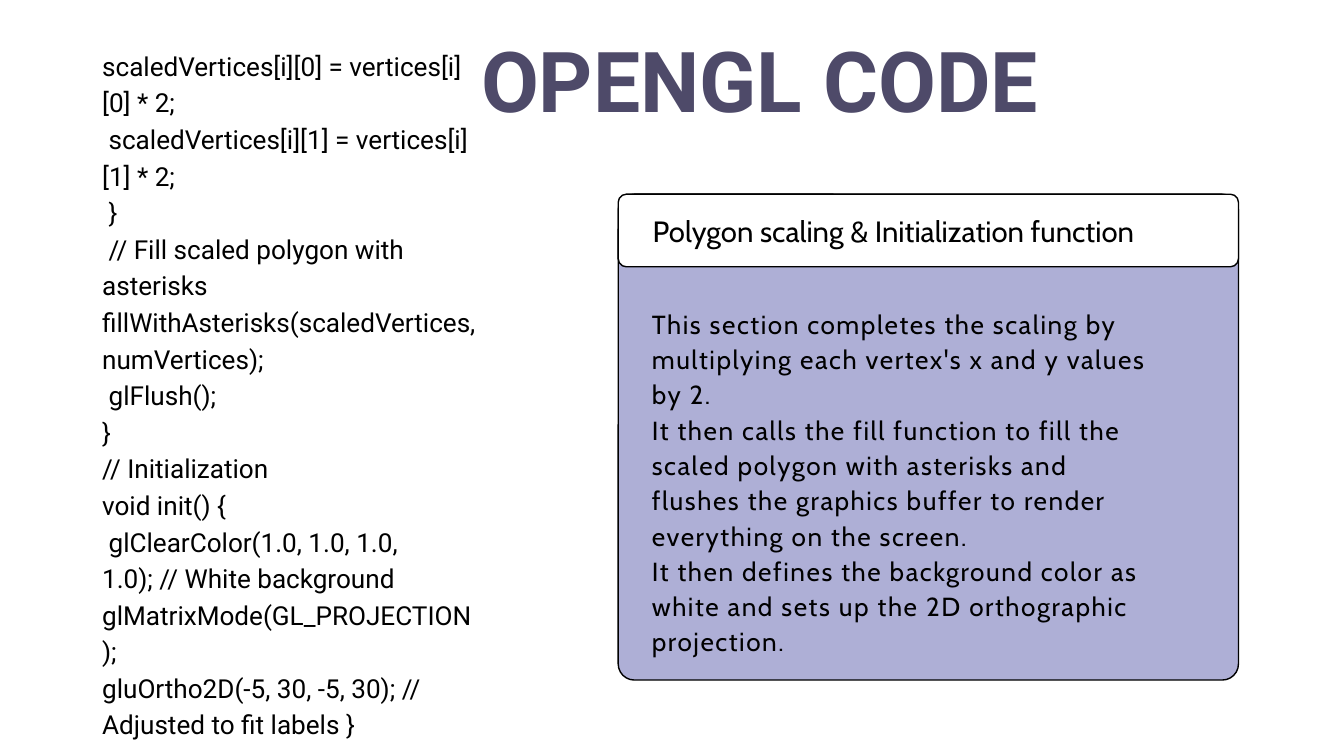
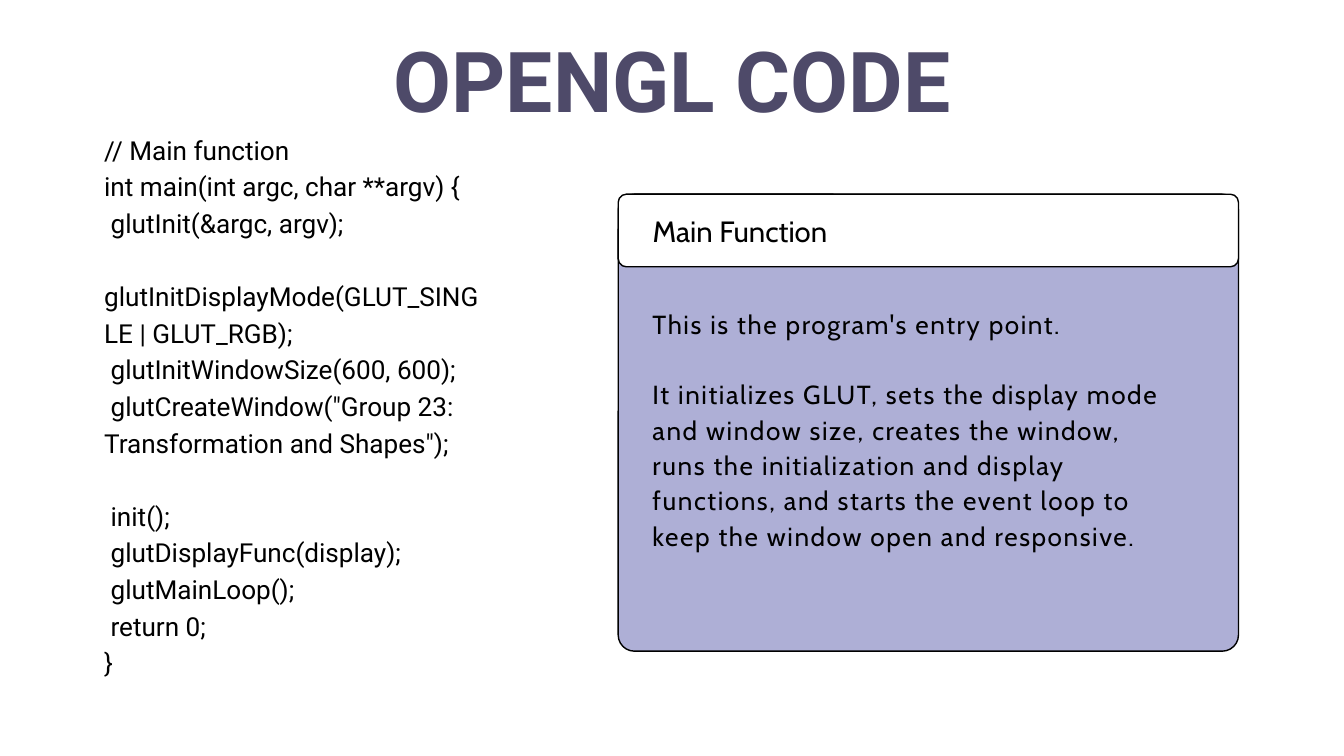
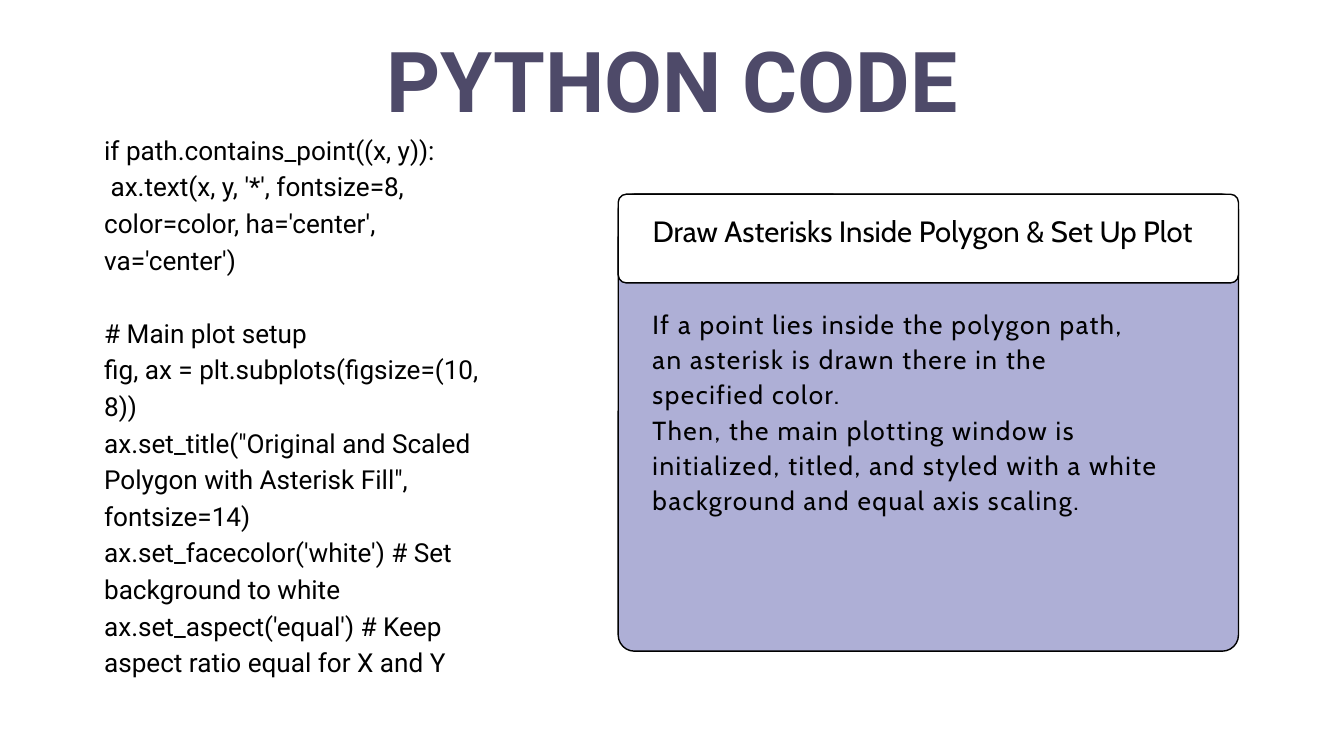
from dataclasses import dataclass

from pptx import Presentation
from pptx import util as u
from pptx.dml import color
from pptx.enum import shapes, text

HUES = {"ink": "000000", "title": "4E4A69", "card": "AEAFD6", "head": "FFFFFF"}


@dataclass(frozen=True)
class Style:
    font: str
    size: float
    lead: float
    hue: str = "ink"
    bold: bool = False
    track: float = 0
    align: text.PP_ALIGN = text.PP_ALIGN.LEFT


@dataclass(frozen=True)
class Box:
    left: float
    top: float
    width: float
    height: float

    def sides(self) -> tuple:
        return tuple(u.Inches(n) for n in (self.left, self.top, self.width, self.height))


@dataclass(frozen=True)
class Page:
    title: str
    code: str
    head: str
    body: str
    title_left: float = 4.85
    code_box: Box = Box(1.55, 1.92, 5.59, 8.67)
    body_left: float = 9.71
    card_tall: float = 6.8
    head_tall: float = 1.08


TITLE = Style("Roboto", 90, 126, hue="title", bold=True, align=text.PP_ALIGN.CENTER)
CODE = Style("Roboto", 28, 39.2)
HEAD = Style("Cabin", 31.4, 36.7)
BODY = Style("Cabin", 28, 37.8, track=1.7)

PAGES = [
    Page(
        title="OPENGL CODE",
        code="""scaledVertices[i][0] = vertices[i][0] * 2;
 scaledVertices[i][1] = vertices[i][1] * 2;
 }
 // Fill scaled polygon with asterisks
fillWithAsterisks(scaledVertices, numVertices);
 glFlush();
}
// Initialization
void init() {
 glClearColor(1.0, 1.0, 1.0, 1.0); // White background
glMatrixMode(GL_PROJECTION);
gluOrtho2D(-5, 30, -5, 30); // Adjusted to fit labels }""",
        head="Polygon scaling & Initialization function",
        body="This section completes the scaling by multiplying each vertex's x and y values by 2.\n"
        "It then calls the fill function to fill the scaled polygon with asterisks and "
        "flushes the graphics buffer to render everything on the screen.\n"
        "It then defines the background color as white and sets up the 2D orthographic projection.",
        title_left=6.15,
        code_box=Box(1.52, 0.67, 5.59, 10.84),
        body_left=9.7,
        card_tall=7.23,
    ),
    Page(
        title="OPENGL CODE",
        code="""// Main function
int main(int argc, char **argv) {
 glutInit(&argc, argv);
 glutInitDisplayMode(GLUT_SINGLE | GLUT_RGB);
 glutInitWindowSize(600, 600);
 glutCreateWindow("Group 23: Transformation and Shapes");

 init();
 glutDisplayFunc(display);
 glutMainLoop();
 return 0;
}""",
        head="Main Function",
        body="This is the program's entry point.\n\n"
        "It initializes GLUT, sets the display mode and window size, creates the window, "
        "runs the initialization and display functions, and starts the event loop to keep "
        "the window open and responsive.",
    ),
    Page(
        title="PYTHON CODE",
        code="""if path.contains_point((x, y)):
 ax.text(x, y, '*', fontsize=8, color=color, ha='center', va='center')

# Main plot setup
fig, ax = plt.subplots(figsize=(10, 8))
ax.set_title("Original and Scaled Polygon with Asterisk Fill", fontsize=14)
ax.set_facecolor('white') # Set background to white
ax.set_aspect('equal') # Keep aspect ratio equal for X and Y""",
        head="Draw Asterisks Inside Polygon & Set Up Plot",
        body="If a point lies inside the polygon path, an asterisk is drawn there in the "
        "specified color.\n"
        "Then, the main plotting window is initialized, titled, and styled with a white "
        "background and equal axis scaling.",
        head_tall=1.32,
    ),
]


def tint(name: str) -> color.RGBColor:
    return color.RGBColor.from_string(HUES[name])


def write(frame, words: str, style: Style) -> None:
    frame.margin_left = frame.margin_right = frame.margin_top = frame.margin_bottom = 0
    frame.word_wrap = True
    frame.auto_size = text.MSO_AUTO_SIZE.NONE
    frame.vertical_anchor = text.MSO_ANCHOR.TOP
    para = frame.paragraphs[0]
    for part, block in enumerate(words.split("\n\n")):
        for row, line in enumerate(block.split("\n")):
            if part or row:
                para = frame.add_paragraph()
            para.alignment = style.align
            para.line_spacing = u.Pt(style.lead)
            para.space_before = u.Pt(style.lead if part and not row else 0)
            run = para.add_run()
            run.text = line
            run.font.name = style.font
            run.font.size = u.Pt(style.size)
            run.font.bold = style.bold
            run.font.color.rgb = tint(style.hue)
            if style.track:
                run.font._element.set("spc", str(round(style.track * 100)))


def add_text(slide, box: Box, words: str, style: Style) -> None:
    write(slide.shapes.add_textbox(*box.sides()).text_frame, words, style)


def add_panel(slide, box: Box, hue: str, curve: float) -> None:
    panel = slide.shapes.add_shape(shapes.MSO_SHAPE.ROUNDED_RECTANGLE, *box.sides())
    panel.adjustments[0] = curve / min(box.width, box.height)
    panel.shadow.inherit = False
    panel.fill.solid()
    panel.fill.fore_color.rgb = tint(hue)
    panel.line.color.rgb = tint("ink")
    panel.line.width = u.Pt(1.5)


def add_page(deck, page: Page) -> None:
    slide = deck.slides.add_slide(deck.slide_layouts[5])
    title = slide.shapes.title
    title.left, title.top, title.width, title.height = Box(page.title_left, 0.17, 10.31, 1.71).sides()
    write(title.text_frame, page.title, TITLE)
    add_text(slide, page.code_box, page.code, CODE)
    add_panel(slide, Box(9.2, 2.89, 9.23, page.card_tall), "card", 0.24)
    add_panel(slide, Box(9.2, 2.89, 9.23, page.head_tall), "head", 0.12)
    add_text(slide, Box(9.71, 3.19, 8.31, 0.51), page.head, HEAD)
    add_text(slide, Box(page.body_left, 4.53, 7.56, 5.19), page.body, BODY)


def main() -> None:
    deck = Presentation()
    deck.slide_width, deck.slide_height = u.Inches(20), u.Inches(11.25)
    for page in PAGES:
        add_page(deck, page)
    deck.save("out.pptx")


if __name__ == "__main__":
    main()
